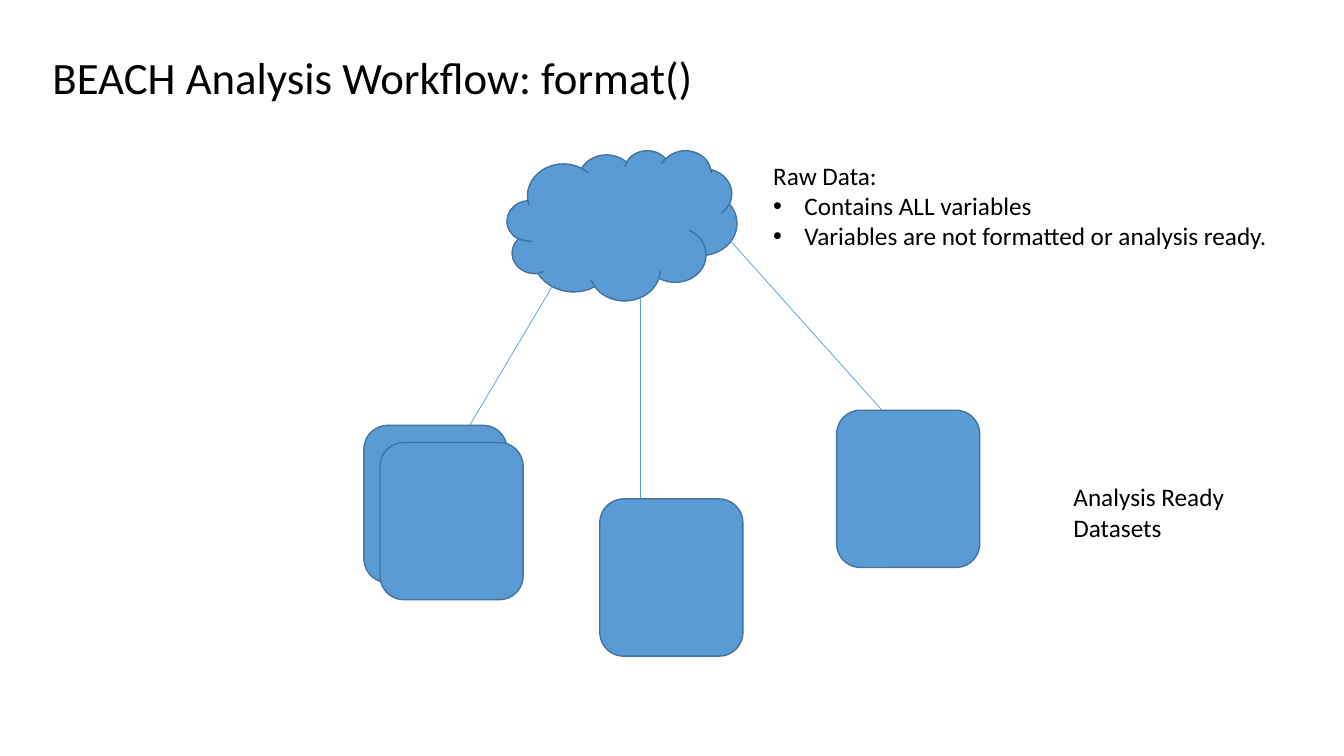
"""Build the BEACH analysis workflow slide for format()."""
import dataclasses

import lxml.etree
import pptx
import pptx.dml.color
import pptx.enum.shapes
import pptx.enum.text
import pptx.oxml.ns
import pptx.util


@dataclasses.dataclass(frozen=True)
class Theme:
    font: str = "Calibri"
    title_size: float = 32
    body_size: float = 18
    outline_width: float = 1
    arrow_width: float = 0.5
    ink: str = "000000"
    fill: str = "5B9BD5"
    outline: str = "43739E"


theme = Theme()
color = pptx.dml.color.RGBColor.from_string
qn = pptx.oxml.ns.qn
SHAPES = pptx.enum.shapes.MSO_SHAPE
ANCHORS = pptx.enum.text.MSO_ANCHOR
AUTO_SIZE = pptx.enum.text.MSO_AUTO_SIZE

deck = pptx.Presentation()
deck.slide_width = pptx.util.Inches(13.33)
deck.slide_height = pptx.util.Inches(7.5)
slide = deck.slides.add_slide(deck.slide_layouts[1])


def place(*percents):
    """Turn alternating shares of slide width and height into lengths."""
    sides = (deck.slide_width, deck.slide_height)
    return [round(share * sides[i % 2] / 100) for i, share in enumerate(percents)]


def write(holder, lines, at=None, size=theme.body_size, spacing=1.0,
          anchor=ANCHORS.TOP, fit=AUTO_SIZE.SHAPE_TO_FIT_TEXT, bullets_from=None):
    """Fill a holder with formatted lines, bulleted from the given index on."""
    if at:
        holder.left, holder.top, holder.width, holder.height = place(*at)
    frame = holder.text_frame
    frame.text = "\n".join(lines)
    frame.word_wrap = True
    frame.auto_size = fit
    frame.vertical_anchor = anchor
    for index, paragraph in enumerate(frame.paragraphs):
        paragraph.alignment = pptx.enum.text.PP_ALIGN.LEFT
        paragraph.line_spacing = spacing
        paragraph.space_before = pptx.util.Pt(0)
        font = paragraph.runs[0].font
        font.name, font.size = theme.font, pptx.util.Pt(size)
        font.color.rgb = color(theme.ink)
        bulleted = bullets_from is not None and index >= bullets_from
        indent = pptx.util.Inches(0.31 if bulleted else 0)
        properties = paragraph._p.get_or_add_pPr()
        properties.set("marL", str(indent))
        properties.set("indent", str(-indent))
        if bulleted:
            lxml.etree.SubElement(properties, qn("a:buFont"), typeface="Arial")
            lxml.etree.SubElement(properties, qn("a:buChar"), char="•")
        else:
            lxml.etree.SubElement(properties, qn("a:buNone"))


write(slide.shapes.title, ["BEACH Analysis Workflow: format()"],
      at=(3.15, 5.2, 86.25, 10.8), size=theme.title_size, spacing=0.9,
      anchor=ANCHORS.MIDDLE, fit=AUTO_SIZE.NONE)
write(slide.placeholders[1],
      ["Raw Data:", "Contains ALL variables",
       "Variables are not formatted or analysis ready."],
      at=(56.78, 20.53, 38.7, 13.47), bullets_from=1)

raw_data = (SHAPES.CLOUD, 37.73, 19.87, 17.1, 19.87)
dataset_corners = [(27.08, 56.27), (44.63, 66), (28.28, 58.53), (62.25, 54.27)]
datasets = [(SHAPES.ROUNDED_RECTANGLE, *corner, 10.65, 20.8)
            for corner in dataset_corners]
flows = [(42.08, 34.93, 34.28, 58.27),
         (47.63, 39.6, 47.63, 67.73),
         (53.48, 30.13, 66.3, 55.6)]

for kind, *bounds in [raw_data, *flows, *datasets]:
    if kind in (SHAPES.CLOUD, SHAPES.ROUNDED_RECTANGLE):
        node = slide.shapes.add_shape(kind, *place(*bounds))
        node.shadow.inherit = False
        node.fill.solid()
        node.fill.fore_color.rgb = color(theme.fill)
        node.line.color.rgb = color(theme.outline)
        node.line.width = pptx.util.Pt(theme.outline_width)
    else:
        flow = slide.shapes.add_connector(
            pptx.enum.shapes.MSO_CONNECTOR.STRAIGHT, *place(kind, *bounds))
        flow.line.color.rgb = color(theme.fill)
        flow.line.width = pptx.util.Pt(theme.arrow_width)
        lxml.etree.SubElement(flow.line._get_or_add_ln(), qn("a:tailEnd"),
                              type="triangle")
        lxml.etree.SubElement(flow._element.spPr, qn("a:effectLst"))

ready_label = slide.shapes.add_textbox(*place(79.13, 63.07, 14.18, 9.47))
write(ready_label, ["Analysis Ready Datasets"])

deck.save("out.pptx")
